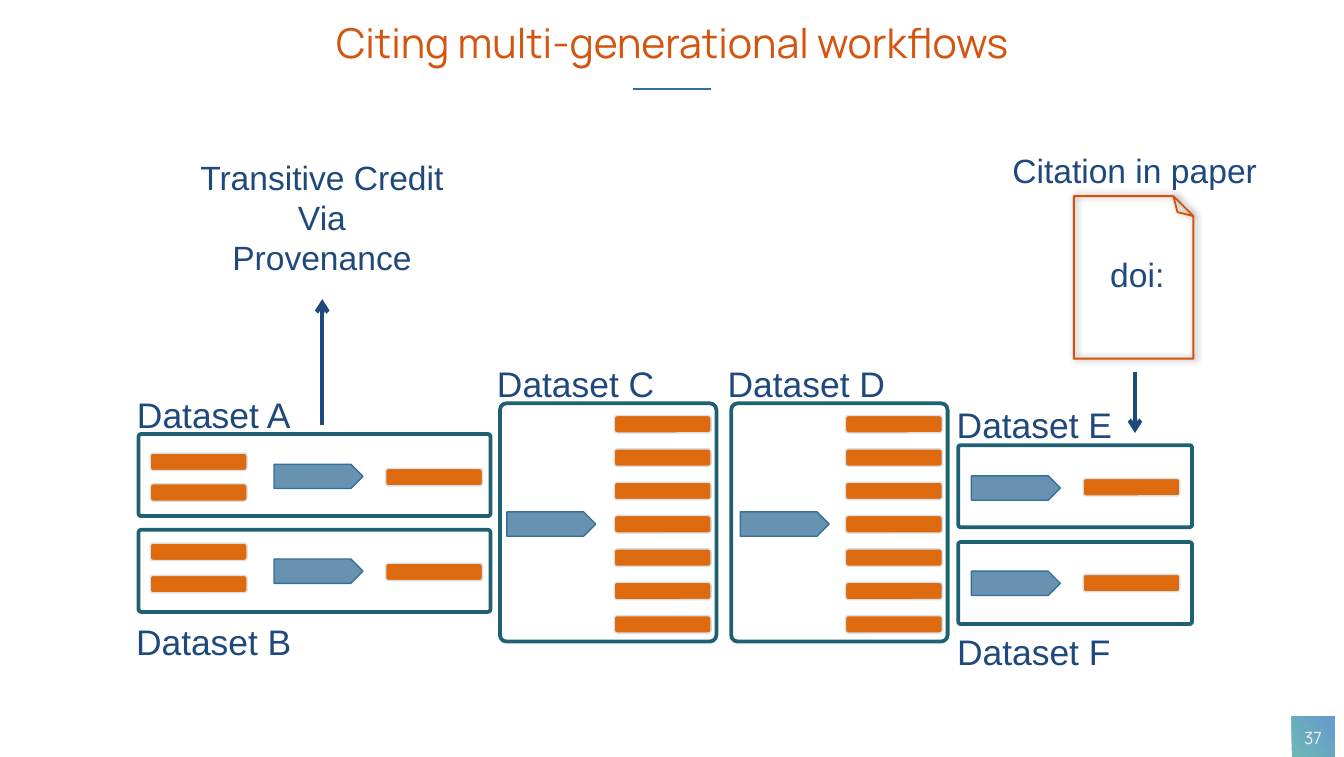
"""Build a slide on citing multi-generational workflows."""
from lxml.etree import SubElement
from pptx import Presentation
from pptx.dml.color import RGBColor
from pptx.enum.shapes import MSO_CONNECTOR, MSO_SHAPE
from pptx.enum.text import MSO_ANCHOR, MSO_AUTO_SIZE, PP_ALIGN
from pptx.oxml import parse_xml
from pptx.oxml.ns import nsdecls, qn
from pptx.util import Cm, Pt

COLORS = {
    "title": "D4550F", "navy": "1F497D", "blue": "357098", "frame": "1D6173",
    "bar": "DE6A10", "bar_edge": "DCDEE0", "paper": "D4520A",
    "page": "F2F1F3", "grad_start": "6EB7B4", "grad_end": "659ACC",
}
BAR = (1.83, 0.33)
STEP = (1.68, 0.46)
LABEL_SIZE = (3.4, 1.02)
BAR_PITCH = 0.63
COLUMN = [7.85 + i * BAR_PITCH for i in range(7)]

DATASETS = [
    {"name": "Dataset A", "frame": (2.62, 8.2, 6.65, 1.55), "label": (2.34, 7.33),
     "step": (5.18, 8.77), "bars": [(2.84, [8.56, 9.14]), (7.29, [8.85])]},
    {"name": "Dataset B", "frame": (2.62, 10.01, 6.65, 1.55), "label": (2.34, 11.62),
     "step": (5.18, 10.56), "bars": [(2.84, [10.26, 10.87]), (7.29, [10.64])]},
    {"name": "Dataset C", "frame": (9.45, 7.62, 4.09, 4.5), "label": (9.18, 6.74),
     "step": (9.58, 9.67), "bars": [(11.61, COLUMN)]},
    {"name": "Dataset D", "frame": (13.82, 7.62, 4.09, 4.5), "label": (13.54, 6.74),
     "step": (13.99, 9.67), "bars": [(15.98, COLUMN)]},
    {"name": "Dataset E", "frame": (18.11, 8.41, 4.42, 1.55), "label": (17.85, 7.51),
     "step": (18.36, 8.99), "bars": [(20.47, [9.04])]},
    {"name": "Dataset F", "frame": (18.11, 10.24, 4.42, 1.55), "label": (17.84, 11.81),
     "step": (18.36, 10.79), "bars": [(20.47, [10.85])]},
]

BODY = {"name": "Arial", "size": Pt(18)}
LABEL = {"name": "Arial", "size": Pt(19)}
TITLE = {"name": "Manrope", "size": Pt(22)}
PAGE = {"name": "Manrope", "size": Pt(9)}

TEXTS = [
    (["Citing multi-generational workflows"], (3.37, 0.28, 18.67, 1.14), TITLE, "title", (0.1, 0.05)),
    (["37"], (24.46, 13.61, 0.71, 0.64), PAGE, "page", (0, 0.05)),
    (["doi:"], (20.77, 4.69, 1.45, 0.97), BODY, "navy", (0.2, 0.1)),
    (["Citation in paper"], (18.88, 2.74, 5.13, 0.97), BODY, "navy", (0.2, 0.1)),
    (["Transitive Credit", "Via", "Provenance"], (3.57, 2.86, 5.03, 2.51), BODY, "navy", (0.2, 0.1)),
]

LINES = [
    ((11.96, 1.68), (13.44, 1.68), "blue", 1.5, False),
    ((21.45, 7.02), (21.45, 8.18), "navy", 2.25, True),
    ((6.09, 8.03), (6.09, 5.65), "navy", 2.25, True),
]

SHADOW = (
    f'<a:effectLst {nsdecls("a")}><a:outerShdw blurRad="50800" dist="12700" dir="0">'
    '<a:srgbClr val="000000"><a:alpha val="50000"/></a:srgbClr></a:outerShdw></a:effectLst>'
)


def rgb(key):
    return RGBColor.from_string(COLORS[key])


def add_shape(s, kind, box, fill=None, line=None, width=0.75):
    sp = s.shapes.add_shape(kind, *map(Cm, box))
    sp.shadow.inherit = False
    if fill:
        sp.fill.solid()
        sp.fill.fore_color.rgb = rgb(fill)
    else:
        sp.fill.background()
    if line:
        sp.line.color.rgb = rgb(line)
        sp.line.width = Pt(width)
    else:
        sp.line.fill.background()
    return sp


def add_text(s, lines, box, style, color, inset):
    tf = s.shapes.add_textbox(*map(Cm, box)).text_frame
    x, y = map(Cm, inset)
    wrap = style in (TITLE, PAGE)
    layout = {"word_wrap": wrap, "margin_left": x, "margin_right": x,
              "margin_top": y, "margin_bottom": y,
              "auto_size": MSO_AUTO_SIZE.NONE if wrap else MSO_AUTO_SIZE.SHAPE_TO_FIT_TEXT,
              "vertical_anchor": MSO_ANCHOR.MIDDLE if style is PAGE else MSO_ANCHOR.TOP}
    for key, value in layout.items():
        setattr(tf, key, value)
    for i, line in enumerate(lines):
        p = tf.add_paragraph() if i else tf.paragraphs[0]
        p.alignment = PP_ALIGN.CENTER
        r = p.add_run()
        r.text = line
        for key, value in style.items():
            setattr(r.font, key, value)
        r.font.color.rgb = rgb(color)


def add_line(s, start, end, color, width, arrow):
    cx = s.shapes.add_connector(MSO_CONNECTOR.STRAIGHT, *map(Cm, start + end))
    cx.line.color.rgb = rgb(color)
    cx.line.width = Pt(width)
    spPr = cx._element.spPr
    if arrow:
        SubElement(spPr.find(qn("a:ln")), qn("a:tailEnd"), type="arrow")
    SubElement(spPr, qn("a:effectLst"))


def add_page_tile(s):
    sp = add_shape(s, MSO_SHAPE.RECTANGLE, (24.41, 13.54, 0.81, 0.76))
    sp.fill.gradient()
    sp.fill.gradient_angle = 36
    for stop, key in zip(sp.fill.gradient_stops, ("grad_start", "grad_end")):
        stop.color.rgb = rgb(key)


def add_dataset(s, data):
    sp = add_shape(s, MSO_SHAPE.ROUNDED_RECTANGLE, data["frame"], line="frame", width=2)
    sp.adjustments[0] = 0.03
    for x, tops in data["bars"]:
        for y in tops:
            add_shape(s, MSO_SHAPE.ROUNDED_RECTANGLE, (x, y, *BAR), "bar", "bar_edge")
    sp = add_shape(s, MSO_SHAPE.PENTAGON, data["step"] + STEP, "blue", "blue")
    color = sp._element.spPr.find(qn("a:solidFill"))[0]
    SubElement(color, qn("a:alpha"), val="75000")
    add_text(s, [data["name"]], data["label"] + LABEL_SIZE, LABEL, "navy", (0.2, 0.1))


def add_paper(s):
    sp = add_shape(s, MSO_SHAPE.FOLDED_CORNER, (19.89, 4.11, 3.07, 2.26), line="paper", width=1)
    sp.rotation = 270
    spPr = sp._element.spPr
    spPr.replace(spPr.find(qn("a:effectLst")), parse_xml(SHADOW))


def main():
    prs = Presentation()
    prs.slide_width, prs.slide_height = Cm(25.4), Cm(14.3)
    s = prs.slides.add_slide(prs.slide_layouts[6])
    add_page_tile(s)
    for data in DATASETS:
        add_dataset(s, data)
    add_paper(s)
    for line in LINES:
        add_line(s, *line)
    for text in TEXTS:
        add_text(s, *text)
    prs.save("out.pptx")


if __name__ == "__main__":
    main()
